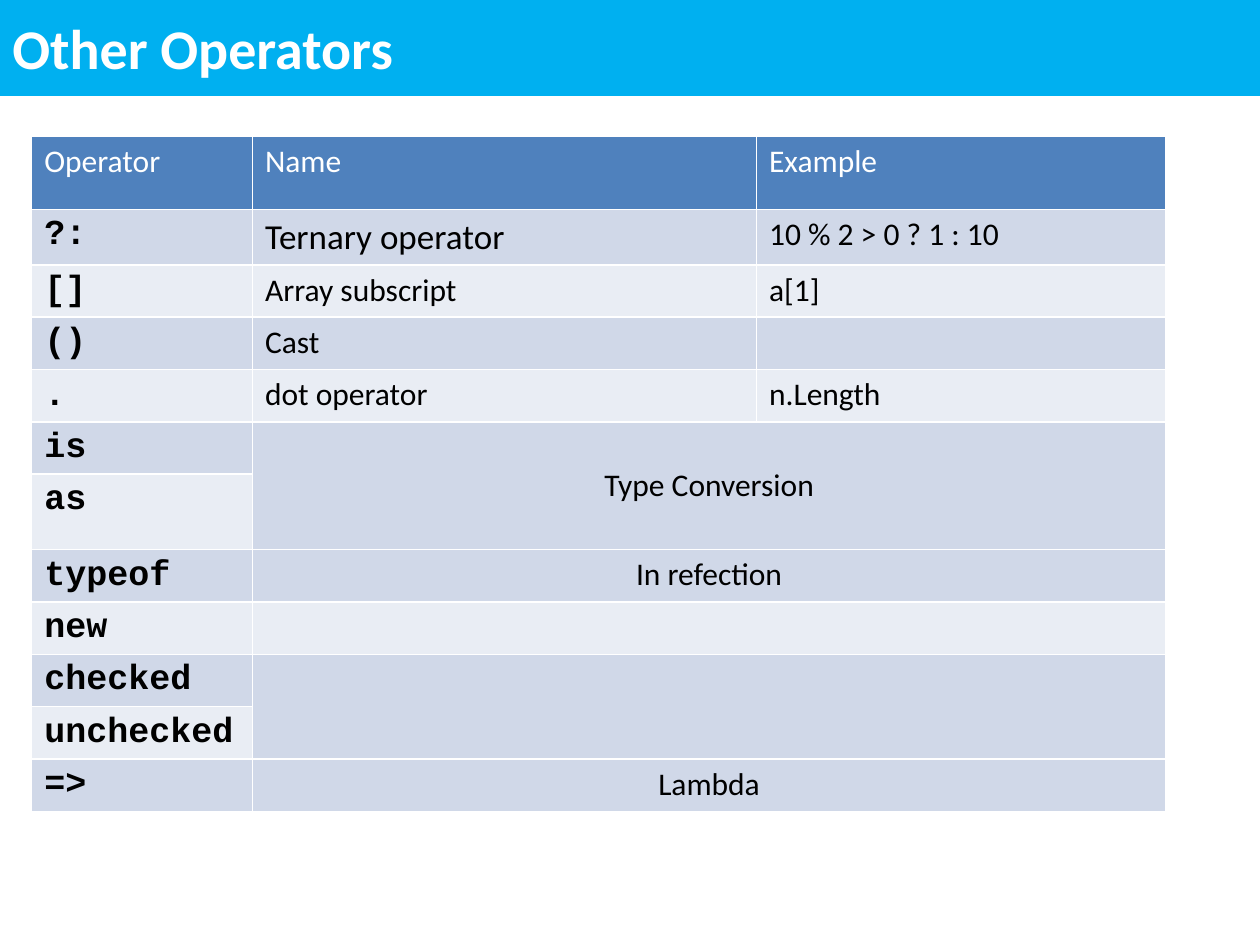
"""Build the slide that tabulates the remaining operators."""
import pptx
import pptx.dml.color
import pptx.enum.shapes
import pptx.enum.text
import pptx.util

Cm = pptx.util.Cm
Pt = pptx.util.Pt
RGBColor = pptx.dml.color.RGBColor
PP_ALIGN = pptx.enum.text.PP_ALIGN
MSO_ANCHOR = pptx.enum.text.MSO_ANCHOR

WHITE = RGBColor(0xFF, 0xFF, 0xFF)
BLACK = RGBColor(0, 0, 0)
SKY = RGBColor(0x00, 0xB0, 0xF0)
HEADER = RGBColor(0x4F, 0x81, 0xBD)
BANDS = (RGBColor(0xE9, 0xED, 0xF4), RGBColor(0xD0, 0xD8, 0xE8))

TITLE = "Other Operators"
ROWS = [
    ("Operator", "Name", "Example"),
    ("?:", "Ternary operator", "10 % 2 > 0 ? 1 : 10"),
    ("[]", "Array subscript", "a[1]"),
    ("()", "Cast", ""),
    (".", "dot operator", "n.Length"),
    ("is", "Type Conversion", ""),
    ("as", "", ""),
    ("typeof", "In refection", ""),
    ("new", "", ""),
    ("checked", "", ""),
    ("unchecked", "", ""),
    ("=>", "Lambda", ""),
]
MERGES = [(5, 6), (7, 7), (8, 8), (9, 10), (11, 11)]
COLUMN_WIDTHS = (4.45, 10.16, 8.25)
ROW_HEIGHT = 1.05
SPECIAL_HEIGHTS = {0: 1.47, 1: 1.12, 6: 1.52}

TITLE_FONT = {"name": "Calibri", "size": Pt(32), "bold": True}
HEADER_FONT = {"name": "Calibri", "size": Pt(18), "bold": False}
SYMBOL_FONT = {"name": "Courier New", "size": Pt(20), "bold": True}
BODY_FONT = {"name": "Calibri", "size": Pt(18), "bold": False}
LARGE_FONT = {"name": "Calibri", "size": Pt(20), "bold": False}


def style_text(frame, text, font_format, color, align=PP_ALIGN.LEFT):
    para = frame.paragraphs[0]
    para.alignment = align
    target = para.font
    if text:
        span = para.add_run()
        span.text = text
        target = span.font
    for name, value in font_format.items():
        setattr(target, name, value)
    target.color.rgb = color


def add_title(slide, width):
    bar = slide.shapes.add_shape(
        pptx.enum.shapes.MSO_SHAPE.RECTANGLE, 0, 0, width, Cm(1.9))
    bar.shadow.inherit = False
    bar.fill.solid()
    bar.fill.fore_color.rgb = SKY
    bar.line.color.rgb = SKY
    bar.line.width = Pt(2)
    bar.text_frame.vertical_anchor = MSO_ANCHOR.MIDDLE
    style_text(bar.text_frame, TITLE, TITLE_FONT, WHITE)


def cell_font(row, column):
    if row == 0:
        return HEADER_FONT
    if column == 0:
        return SYMBOL_FONT
    return LARGE_FONT if (row, column) == (1, 1) else BODY_FONT


def add_operators(slide):
    heights = [SPECIAL_HEIGHTS.get(row, ROW_HEIGHT) for row in range(len(ROWS))]
    table = slide.shapes.add_table(
        len(ROWS), len(COLUMN_WIDTHS), Cm(0.64), Cm(2.75),
        Cm(sum(COLUMN_WIDTHS)), Cm(sum(heights))).table
    table.horz_banding = False
    for column, width in zip(table.columns, COLUMN_WIDTHS):
        column.width = Cm(width)
    for row, height in zip(table.rows, heights):
        row.height = Cm(height)
    for first, last in MERGES:
        table.cell(first, 1).merge(table.cell(last, 2))
    for row, texts in enumerate(ROWS):
        for column, text in enumerate(texts):
            cell = table.cell(row, column)
            cell.fill.solid()
            cell.fill.fore_color.rgb = BANDS[row % 2] if row else HEADER
            align = PP_ALIGN.CENTER if cell.is_merge_origin else PP_ALIGN.LEFT
            if cell.is_merge_origin and cell.span_height > 1:
                cell.vertical_anchor = MSO_ANCHOR.MIDDLE
            style_text(cell.text_frame, text, cell_font(row, column),
                       BLACK if row else WHITE, align)


def main():
    deck = pptx.Presentation()
    deck.slide_width, deck.slide_height = Cm(25.4), Cm(19.05)
    slide = deck.slides.add_slide(deck.slide_layouts[6])
    add_title(slide, deck.slide_width)
    add_operators(slide)
    deck.save("out.pptx")


if __name__ == "__main__":
    main()
